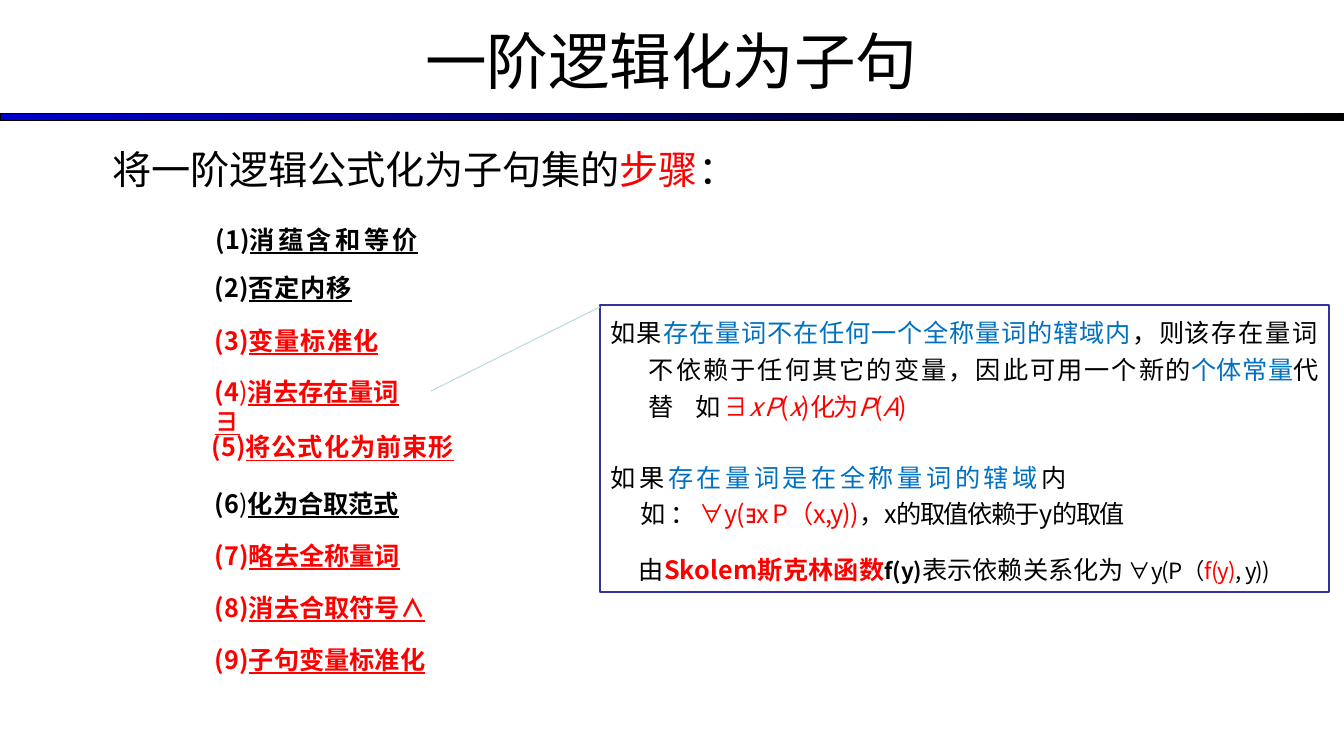
from dataclasses import dataclass
from typing import Optional

from lxml import etree
from pptx import Presentation
from pptx import util as u
from pptx.dml.color import RGBColor
from pptx.enum import shapes, text
from pptx.oxml.ns import qn

EMU_PER_PX = 914400 / 100.8


@dataclass(frozen=True)
class Theme:
    black: str = "000000"
    white: str = "FFFFFF"
    red: str = "FF0000"
    blue: str = "0070C0"
    band_blue: str = "0000CC"
    frame: str = "333399"
    pointer: str = "B6DCDF"
    body_font: str = "Noto Sans CJK SC"
    title_font: str = "Calibri"
    symbol_font: str = "Arial"
    title_size: int = 44
    heading_size: int = 28
    text_size: int = 18
    small_size: int = 16


THEME = Theme()


@dataclass(frozen=True)
class Span:
    """A stretch of text; None keeps the paragraph's setting."""
    text: str
    spacing: float = 0
    color: Optional[str] = None
    bold: Optional[bool] = None
    italic: Optional[bool] = None
    underline: Optional[bool] = None
    size: Optional[int] = None
    font: Optional[str] = None


@dataclass(frozen=True)
class Block:
    """One paragraph with its layout."""
    spans: list[Span]
    size: int = THEME.text_size
    color: str = THEME.black
    font: str = THEME.body_font
    bold: bool = False
    align: text.PP_ALIGN = text.PP_ALIGN.LEFT
    margin: int = 0
    indent: int = 0
    before: float = 0
    line: object = 1.0


@dataclass(frozen=True)
class Step:
    top: int
    width: int
    label: str
    color: str = THEME.red
    spacing: float = 0
    left: int = 205
    plain_bracket: bool = False
    symbol: str = ""
    margin: int = 0
    line: float = 1.0
    height: int = 40


def px(length: int) -> u.Emu:
    return u.Emu(round(length * EMU_PER_PX))


def rgb(color: str) -> RGBColor:
    return RGBColor.from_string(color)


def set_typeface(font, properties, name: str) -> None:
    font.name = name
    etree.SubElement(properties, qn("a:ea")).set("typeface", name)


def write_block(paragraph, block: Block) -> None:
    paragraph.alignment = block.align
    paragraph.space_before = u.Pt(block.before)
    paragraph.line_spacing = block.line
    properties = paragraph._p.get_or_add_pPr()
    properties.set("marL", str(px(block.margin)))
    properties.set("indent", str(px(block.indent)))
    etree.SubElement(properties, qn("a:buNone"))
    font = paragraph.font
    font.size, font.bold = u.Pt(block.size), block.bold
    font.color.rgb = rgb(block.color)
    set_typeface(font, properties.find(qn("a:defRPr")), block.font)
    for span in block.spans:
        run = paragraph.add_run()
        run.text = span.text
        run_properties = run._r.get_or_add_rPr()
        run_properties.set("spc", str(round(span.spacing * 100)))
        run.font.bold, run.font.italic = span.bold, span.italic
        run.font.underline = span.underline
        if span.size:
            run.font.size = u.Pt(span.size)
        if span.color:
            run.font.color.rgb = rgb(span.color)
        if span.font:
            set_typeface(run.font, run_properties, span.font)


def fill_frame(shape, blocks: list[Block], wrap: bool = True, top: Optional[int] = None,
               anchor=text.MSO_ANCHOR.TOP) -> None:
    frame = shape.text_frame
    frame.auto_size = text.MSO_AUTO_SIZE.NONE
    frame.word_wrap, frame.vertical_anchor = wrap, anchor
    if top is not None:
        frame.margin_left = frame.margin_right = frame.margin_bottom = 0
        frame.margin_top = px(top)
    for index, block in enumerate(blocks):
        write_block(frame.add_paragraph() if index else frame.paragraphs[0], block)


def place(shape, left: int, top: int, width: int, height: int) -> None:
    shape.left, shape.top, shape.width, shape.height = map(px, (left, top, width, height))


def add_box(slide, left: int, top: int, width: int, height: int, line: str, weight: float):
    box = slide.shapes.add_shape(shapes.MSO_SHAPE.RECTANGLE, *map(px, (left, top, width, height)))
    box.shadow.inherit = False
    box.line.color.rgb, box.line.width = rgb(line), u.Pt(weight)
    return box


def add_step(slide, number: int, step: Step) -> None:
    box = slide.shapes.add_textbox(*map(px, (step.left, step.top, step.width, step.height)))
    bracket = [Span(f"({number}"), Span(")", bold=False)] if step.plain_bracket else [Span(f"({number})")]
    spans = bracket + [Span(step.label, step.spacing, underline=True)]
    if step.symbol:
        spans.append(Span(step.symbol, underline=True, font=THEME.symbol_font))
    block = Block(spans, color=step.color, bold=True, line=step.line, margin=step.margin,
                  indent=-38 if step.margin else 0, before=1 if step.margin else 0)
    fill_frame(box, [block], wrap=bool(step.symbol))


STEPS = [
    Step(215, 488, "消蕴含和等价", THEME.black, 2.4, left=197, margin=47, line=1.14, height=45),
    Step(267, 164, "否定内移", THEME.black, 0.5),
    Step(320, 192, "变量标准化", spacing=0.65),
    Step(371, 227, "消去存在量词", plain_bracket=True, symbol="∃"),
    Step(419, 586, "将公式化为前束形", spacing=0.65, left=201, margin=39, line=1.25, height=48),
    Step(483, 213, "化为合取范式", THEME.black, plain_bracket=True),
    Step(535, 213, "略去全称量词"),
    Step(587, 239, "消去合取符号∧"),
    Step(639, 239, "子句变量标准化"),
]

RED, BLUE, BLACK, SYMBOL = THEME.red, THEME.blue, THEME.black, THEME.symbol_font
JUSTIFY = text.PP_ALIGN.JUSTIFY
NOTES = [
    Block([
        Span("如果", 0.5), Span("存在量词不在任何一个全称量词的辖域", 0.45, BLUE),
        Span("内", 1.3, BLUE), Span("，", 0.6), Span("则"),
        Span("该存在量词不依赖于任何其它的变量，因此可用一个", 1.1), Span("新的"),
        Span("个体常量", 0, BLUE), Span("代替"), Span(" ", 11), Span("如 ", -1.5),
        Span("∃", -0.9, RED, font=SYMBOL), Span("x P", -0.9, RED, italic=True),
        Span("(", -0.9, RED), Span("x", -0.9, RED, italic=True), Span(")", -0.9, RED),
        Span("化为", -1.5, RED), Span("P", -0.8, RED, italic=True), Span("(", -0.8, RED),
        Span("A", -0.8, RED, italic=True), Span(")", -0.8, RED),
    ], align=JUSTIFY, margin=39, indent=-38, before=2.6, line=1.23),
    Block([
        Span("如果", 2.5), Span("存在量词是在全称量词的辖域", 2.5, BLUE), Span("内", 3),
    ], align=JUSTIFY, margin=39, indent=-38, before=25.5, line=1.18),
    Block([
        Span("如：", 3), Span("∀", -0.7, RED, font=SYMBOL), Span("y(", -0.7, RED),
        Span("∃", -0.7, RED, font=SYMBOL), Span("x P（x,y))", -0.7, RED), Span("，", -1.1),
        Span("x", -0.3), Span("的取值依赖于", -1.15), Span("y", -0.7), Span("的取值", -1.5),
    ], align=JUSTIFY, margin=31, before=0.1, line=1.18),
    Block([
        Span("由", -0.1), Span("Skolem斯克林", 0.1, RED, bold=True), Span("函数", 0, RED, bold=True),
        Span("f(y)", bold=True, size=THEME.small_size), Span("表示依赖关系"), Span("化为", -0.2),
        Span(" ∀", -0.7, size=THEME.small_size, font=SYMBOL),
        Span("y(P（", -0.7, size=THEME.small_size),
        Span("f(y)", -0.7, RED, size=THEME.small_size),
        Span(", y))", -0.7, size=THEME.small_size),
    ], align=JUSTIFY, margin=29, before=0.7, line=u.Pt(39)),
]


def main() -> None:
    presentation = Presentation()
    presentation.slide_width, presentation.slide_height = px(1344), px(756)
    slide = presentation.slides.add_slide(presentation.slide_layouts[1])
    title, heading = slide.placeholders

    # Title and gradient band
    place(title, 423, 21, 497, 77)
    fill_frame(title, [Block([Span("一阶逻辑化为子句", -0.1)], THEME.title_size, font=THEME.title_font,
                             align=text.PP_ALIGN.CENTER, before=1)],
               top=1, anchor=text.MSO_ANCHOR.MIDDLE)
    band = add_box(slide, 0, 114, 1344, 7, BLACK, 0.75)
    band.fill.gradient()
    band.fill.gradient_angle = 0
    for stop, color in zip(band.fill.gradient_stops, (THEME.band_blue, BLACK)):
        stop.color.rgb = rgb(color)

    # Heading and numbered steps
    place(heading, 112, 120, 947, 147)
    fill_frame(heading, [Block([Span("将一阶逻辑公式化为子句集的", -0.1), Span("步骤", -0.1, RED),
                                Span("：", -0.1)], THEME.heading_size, margin=1, before=17.8)], top=25)
    for number, step in enumerate(STEPS, start=1):
        add_step(slide, number, step)

    # Explanation of step 4 with its pointer
    note = add_box(slide, 600, 305, 729, 287, THEME.frame, 2)
    note.fill.solid()
    note.fill.fore_color.rgb = rgb(THEME.white)
    fill_frame(note, NOTES)
    pointer = slide.shapes.add_connector(shapes.MSO_CONNECTOR.STRAIGHT, px(431), px(391), px(600), px(307))
    pointer.line.color.rgb, pointer.line.width = rgb(THEME.pointer), u.Pt(0.75)
    etree.SubElement(pointer._element.spPr, qn("a:effectLst"))

    presentation.save("out.pptx")


if __name__ == "__main__":
    main()
